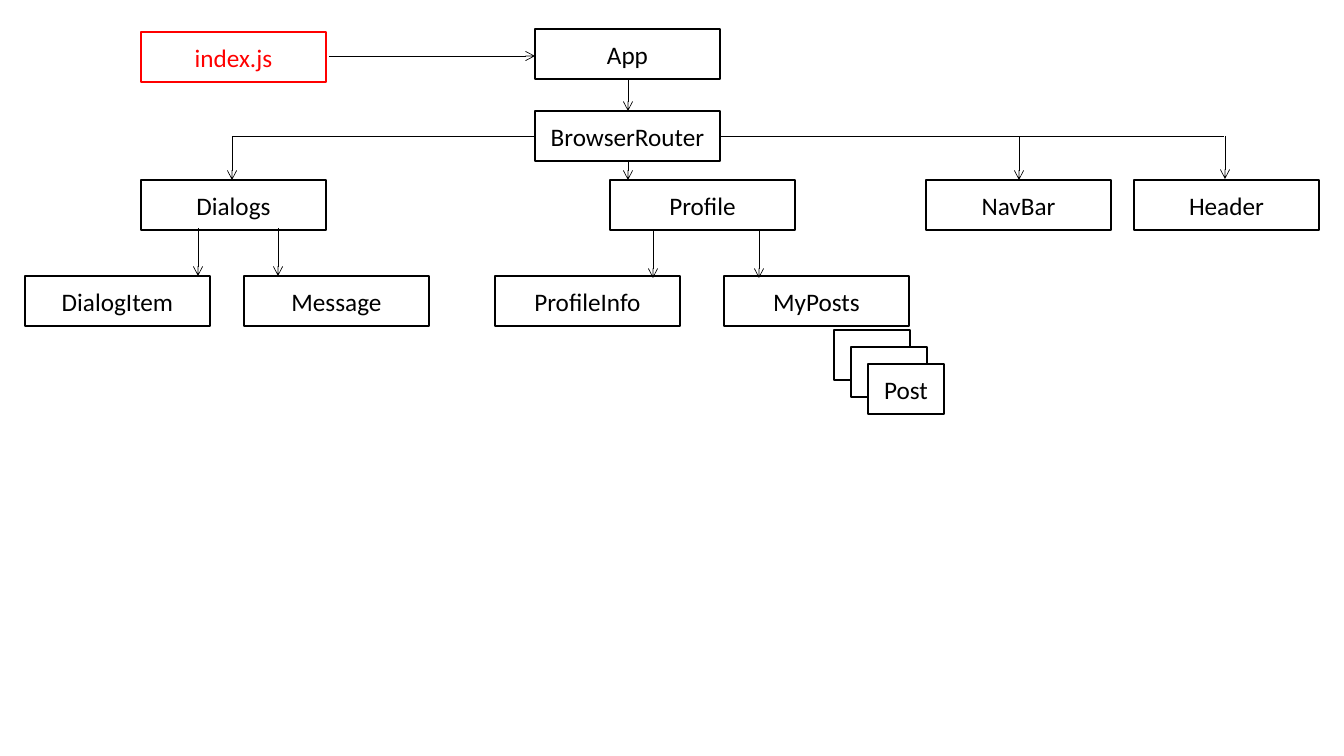
import pptx
import pptx.util
import pptx.dml.color
import pptx.enum.shapes
import pptx.enum.text
from lxml import etree

RGBColor = pptx.dml.color.RGBColor
BLACK = RGBColor(0, 0, 0)
WHITE = RGBColor(255, 255, 255)
RED = RGBColor(255, 0, 0)

EMU_PER_PX = 914400 / 100.8
BOX_W, BOX_H = 185, 50
POST_W, POST_STEP = 76, 17


def px(n):
    """Turn pixels into EMU."""
    return pptx.util.Emu(round(n * EMU_PER_PX))


class Diagram:
    """Draws component boxes and arrows in one style on a slide."""

    font, size = "Calibri", 18
    box_line, arrow_line = 1, 0.5

    def __init__(self, s):
        """Keep the slide to draw on."""
        self.s = s

    def box(self, text, x, y, w=BOX_W, color=BLACK):
        """Add a white outlined box with centred text."""
        sp = self.s.shapes.add_shape(
            pptx.enum.shapes.MSO_SHAPE.RECTANGLE, px(x), px(y), px(w), px(BOX_H))
        sp.shadow.inherit = False
        sp.fill.solid()
        sp.fill.fore_color.rgb = WHITE
        sp.line.color.rgb = color
        sp.line.width = pptx.util.Pt(self.box_line)
        tf = sp.text_frame
        tf.word_wrap = True
        tf.vertical_anchor = pptx.enum.text.MSO_ANCHOR.MIDDLE
        p = tf.paragraphs[0]
        p.text = text
        p.alignment = pptx.enum.text.PP_ALIGN.CENTER
        p.font.name = self.font
        p.font.size = pptx.util.Pt(self.size)
        p.font.color.rgb = color

    def line(self, x1, y1, x2, y2, arrow=True):
        """Add a thin straight line, with an arrowhead at its end if asked."""
        c = self.s.shapes.add_connector(
            pptx.enum.shapes.MSO_CONNECTOR.STRAIGHT, px(x1), px(y1), px(x2), px(y2))
        c.line.color.rgb = BLACK
        c.line.width = pptx.util.Pt(self.arrow_line)
        if arrow:
            ln = c.line._get_or_add_ln()
            etree.SubElement(ln, pptx.oxml.ns.qn("a:tailEnd"), type="arrow")
        etree.SubElement(c._element.spPr, pptx.oxml.ns.qn("a:effectLst"))


def main():
    """Build the component tree slide."""
    prs = pptx.Presentation()
    prs.slide_width, prs.slide_height = px(1344), px(756)
    d = Diagram(prs.slides.add_slide(prs.slide_layouts[6]))

    rows = {
        29: [("App", 535)],
        180: [("Dialogs", 141), ("Profile", 610), ("NavBar", 926), ("Header", 1134)],
        276: [("DialogItem", 25), ("Message", 244), ("ProfileInfo", 495),
              ("MyPosts", 724)],
    }
    for y, boxes in rows.items():
        for text, x in boxes:
            d.box(text, x, y)
    for i in range(3):
        d.box("Post", 834 + i * POST_STEP, 330 + i * POST_STEP, POST_W)
    d.box("index.js", 141, 32, color=RED)

    # The router box covers the middle of its branch line.
    d.line(232, 136, 1224, 136, arrow=False)
    d.box("BrowserRouter", 535, 111)

    d.line(329, 56, 535, 56)
    down_arrows = [
        (628, 79, 111), (628, 161, 180),
        (232, 137, 180), (1019, 137, 180), (1225, 136, 179),
        (198, 228, 276), (278, 228, 276),
        (653, 231, 278), (759, 231, 278),
    ]
    for x, top, bottom in down_arrows:
        d.line(x, top, x, bottom)

    prs.save("out.pptx")


main()
